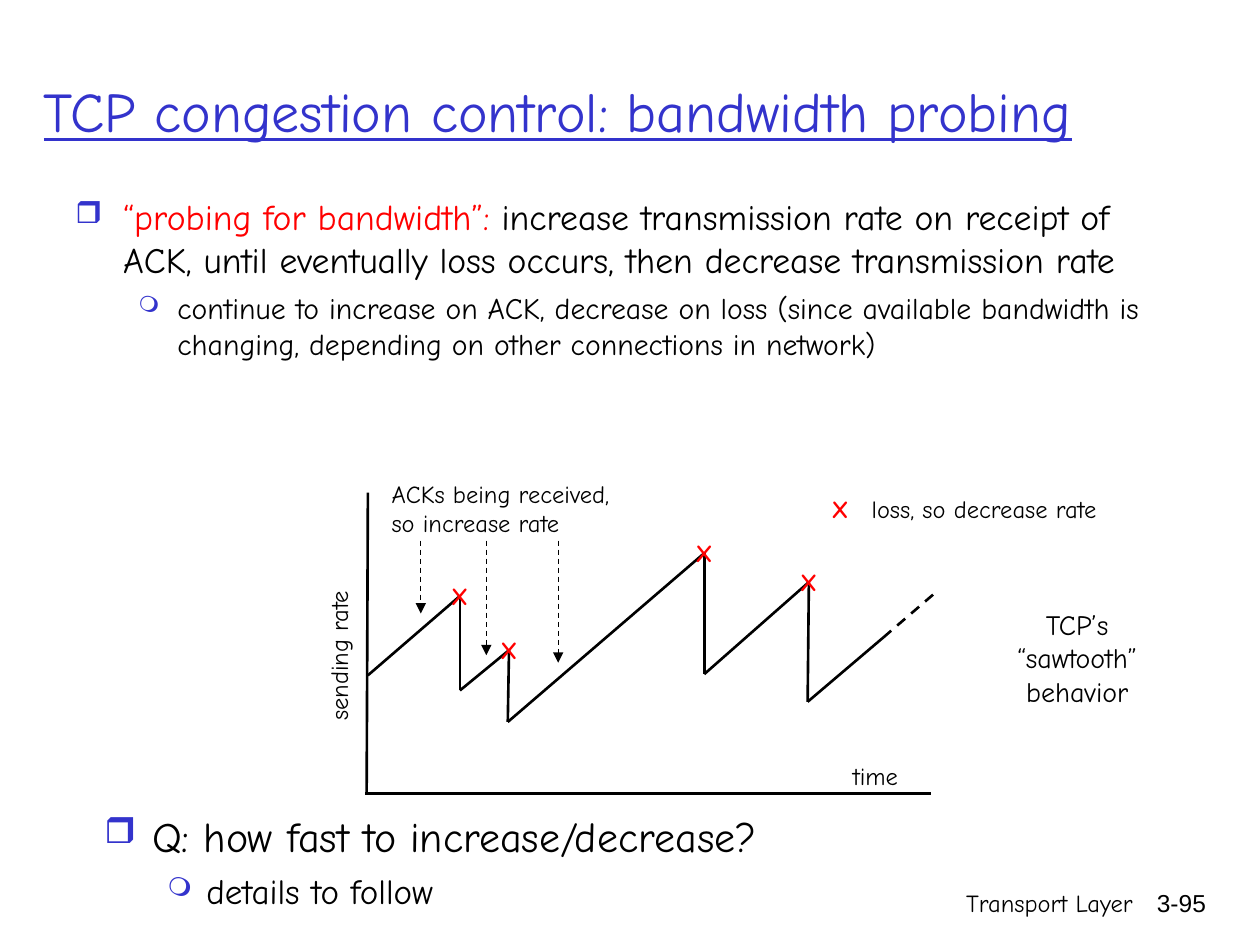
from dataclasses import dataclass
from itertools import pairwise

from lxml.etree import SubElement
from pptx import Presentation
from pptx.dml.color import RGBColor
from pptx.enum.dml import MSO_LINE_DASH_STYLE as Dash
from pptx.enum.shapes import MSO_CONNECTOR as Connector
from pptx.enum.text import MSO_ANCHOR as Anchor, PP_ALIGN as Align
from pptx.oxml.ns import qn
from pptx.util import Inches, Pt


@dataclass(frozen=True)
class Theme:
    ink: str = "000000"
    accent: str = "3333CC"
    alert: str = "FF0000"
    font: str = "Comic Neue"
    number_font: str = "Arial"
    title: float = 32
    label: float = 14
    note: float = 16
    axis: float = 1.5
    pointer: float = 0.75


THEME = Theme()
BULLETS = (
    {"char": "❒", "percent": 85, "left": 0.38, "hanging": 0.38, "before": 6},
    {"char": "❍", "percent": 75, "left": 0.81, "hanging": 0.31, "before": 5},
)


def apply(target, **values):
    for name, value in values.items():
        setattr(target, name, value)


def add_run(paragraph, text, size, color=THEME.ink, name=THEME.font, **formats):
    run = paragraph.add_run()
    run.text = text
    apply(run.font, size=Pt(size), name=name, **formats)
    run.font.color.rgb = RGBColor.from_string(color)


def add_frame(slide, box, wrap=True, rotation=0, anchor=Anchor.TOP):
    shape = slide.shapes.add_textbox(*map(Inches, box))
    shape.rotation = rotation
    apply(shape.text_frame, word_wrap=wrap, vertical_anchor=anchor)
    return shape.text_frame


def add_label(slide, box, lines, size=THEME.label, align=Align.LEFT,
              wrap=False, rotation=0, anchor=Anchor.TOP, **formats):
    frame = add_frame(slide, box, wrap, rotation, anchor)
    for index, line in enumerate(lines):
        paragraph = frame.add_paragraph() if index else frame.paragraphs[0]
        paragraph.alignment = align
        add_run(paragraph, line, size, **formats)


def add_line(slide, start, end, width=THEME.axis, dash=None, arrow=False):
    line = slide.shapes.add_connector(Connector.STRAIGHT, *map(Inches, (*start, *end)))
    line.line.color.rgb = RGBColor.from_string(THEME.ink)
    apply(line.line, width=Pt(width), dash_style=dash)
    properties = line._element.spPr
    if arrow:
        SubElement(properties.find(qn("a:ln")), qn("a:tailEnd"), type="triangle")
    SubElement(properties, qn("a:effectLst"))


def set_bullet(paragraph, level, first):
    style = BULLETS[level]
    paragraph.level = level
    properties = paragraph._p.get_or_add_pPr()
    properties.set("marL", str(Inches(style["left"])))
    properties.set("indent", str(-Inches(style["hanging"])))
    color = SubElement(properties, qn("a:buClr"))
    SubElement(color, qn("a:srgbClr"), val=THEME.accent)
    SubElement(properties, qn("a:buSzPct"), val=str(style["percent"] * 1000))
    SubElement(properties, qn("a:buChar"), char=style["char"])
    paragraph.space_before = Pt(0 if first else style["before"])


def add_bullets(slide, box, items):
    frame = add_frame(slide, box)
    for index, (level, size, runs) in enumerate(items):
        paragraph = frame.add_paragraph() if index else frame.paragraphs[0]
        set_bullet(paragraph, level, index == 0)
        for text, color in runs:
            add_run(paragraph, text, size, color)


def add_loss_mark(slide, x, y, size=0.34):
    add_label(slide, (x - size / 2, y - size / 2, size, size), ["X"],
              align=Align.CENTER, color=THEME.alert, bold=True)


def add_sawtooth(slide, box):
    left, top, width, height = box

    def place(x, y):
        return left + x, top + y

    add_line(slide, place(0.02, 0.16), place(0.01, height))
    add_line(slide, place(0, height), place(width, height))

    rate = [place(*point) for point in (
        (0.02, 1.61), (0.75, 0.98), (0.75, 1.73), (1.14, 1.41), (1.13, 1.98),
        (2.69, 0.64), (2.69, 1.6), (3.52, 0.87), (3.51, 1.82), (4.11, 1.31),
    )]
    for start, end in pairwise(rate):
        add_line(slide, start, end)
    add_line(slide, rate[-1], place(4.54, 0.94), dash=Dash.DASH)

    for x, bottom in ((0.44, 1.12), (0.96, 1.45), (1.53, 1.51)):
        add_line(slide, place(x, 0.54), place(x, bottom), THEME.pointer, Dash.DASH, True)
    for peak in rate[1:8:2]:
        add_loss_mark(slide, *peak)

    add_label(slide, (*place(0.11, 0), 2, 0.57), ["ACKs being received,", "so increase rate"])
    add_label(slide, (*place(-0.83, 1.28), 1.24, 0.34), ["sending rate"], rotation=270)
    add_label(slide, (*place(3.77, 2.24), 0.56, 0.34), ["time"])
    add_loss_mark(slide, *place(3.77, 0.29))
    add_label(slide, (*place(3.92, 0.12), 2, 0.34), ["loss, so decrease rate"])
    add_label(slide, (*place(5.07, 1.02), 1.16, 0.9), ["TCP’s", "“sawtooth”", "behavior"],
              THEME.note, Align.CENTER, wrap=True)


def add_title(slide, box):
    add_label(slide, box, ["TCP congestion control: bandwidth probing"], THEME.title,
              wrap=True, anchor=Anchor.MIDDLE, color=THEME.accent, underline=True)


def add_footer(slide, box):
    left, top, width, height = box
    number_width = 0.74
    add_label(slide, (left, top, 3.17, height), ["Transport Layer"],
              align=Align.RIGHT, wrap=True)
    add_label(slide, (left + width - number_width, top, number_width, height), ["3-95"],
              align=Align.RIGHT, wrap=True, name=THEME.number_font)


def main():
    presentation = Presentation()
    apply(presentation, slide_width=Inches(10), slide_height=Inches(7.5))
    slide = presentation.slides.add_slide(presentation.slide_layouts[6])

    add_footer(slide, (5.92, 7, 3.75, 0.5))
    add_title(slide, (0.25, 0.25, 9.25, 1.25))
    add_bullets(slide, (0.5, 1.5, 9, 1.58), (
        (0, 20.4, (
            ("“probing for bandwidth”: ", THEME.alert),
            ("increase transmission rate on receipt of ACK, until eventually "
             "loss occurs, then decrease transmission rate", THEME.ink),
        )),
        (1, 17, ((
            "continue to increase on ACK, decrease on loss (since available bandwidth "
            "is changing, depending on other connections in network)", THEME.ink),)),
    ))
    add_sawtooth(slide, (2.9, 3.75, 4.49, 2.55))
    add_bullets(slide, (0.73, 6.38, 9, 0.94), (
        (0, 24, (("Q: how fast to increase/decrease?", THEME.ink),)),
        (1, 20, (("details to follow", THEME.ink),)),
    ))
    presentation.save("out.pptx")


if __name__ == "__main__":
    main()
